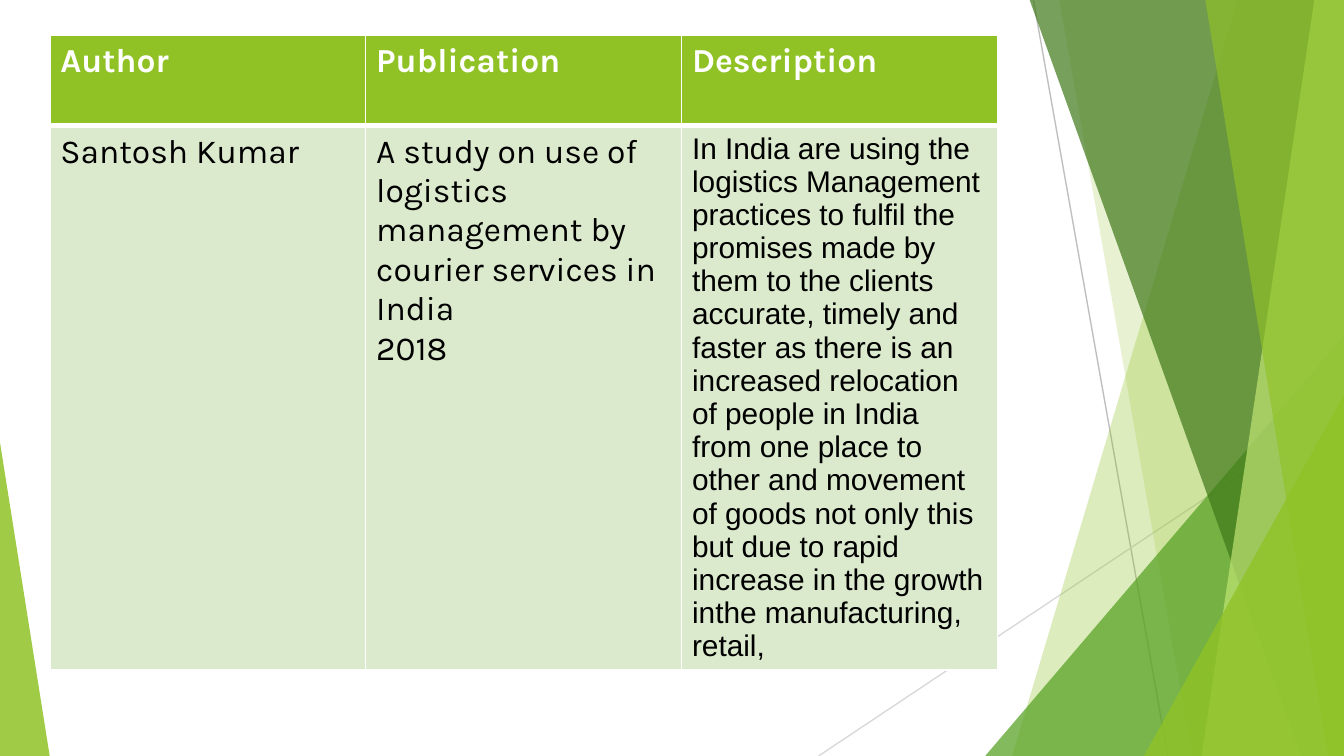
from lxml import etree
from pptx import Presentation
from pptx import util as u
from pptx.dml.color import RGBColor
from pptx.enum import shapes
from pptx.oxml.ns import qn

WHITE = RGBColor(0xFF, 0xFF, 0xFF)
BLACK = RGBColor(0, 0, 0)
LIME = RGBColor(0x90, 0xC2, 0x26)
GREEN = RGBColor(0x54, 0xA0, 0x21)
FOREST = RGBColor(0x3F, 0x78, 0x19)
PALE_LIME = RGBColor(0xC0, 0xE4, 0x74)
MIST = RGBColor(0xDB, 0xE9, 0xCD)
GREY = RGBColor(0xBF, 0xBF, 0xBF)
LIGHT_GREY = RGBColor(0xD9, 0xD9, 0xD9)

WIDTH, HEIGHT = 25.4, 14.29

HEADINGS = ["Author", "Publication", "Description"]
STUDY = [
    (["Santosh Kumar"], "Karla", 18),
    (["A study on use of logistics management by courier services in India",
      "2018"], "Karla", 18),
    (["In India are using the logistics Management practices to fulfil the "
      "promises made by them to\u00a0the clients accurate, timely and faster "
      "as\u00a0there is an increased relocation of\u00a0people in India from one "
      "place to other and movement of goods not only this but due to rapid "
      "increase in the growth inthe manufacturing, retail,"], "Arial", 16),
]
COLUMN_WIDTH = 5.97
ROW_HEIGHTS = [1.71, 10.28]

RAYS = [((19.53, 0), (22.07, HEIGHT), GREY),
        ((WIDTH, 7.67), (15.47, HEIGHT), LIGHT_GREY)]
FACETS = [
    ("band", 23.39, 19.13, LIME, 30),
    ("band", 20.02, 22.53, LIME, 20),
    ("peak", (18.62, 6.35, 6.78), 1, GREEN, 72),
    ("band", 19.46, 24.59, FOREST, 70),
    ("band", 24.84, 22.71, PALE_LIME, 70),
    ("band", 22.78, 25.1, LIME, 65),
    ("peak", (21.62, 7.47, 3.78), 1, LIME, 80),
    ("peak", (0, 8.36, 0.94), 0, LIME, 85),
]

prs = Presentation()
prs.slide_width, prs.slide_height = u.Cm(WIDTH), u.Cm(HEIGHT)
slide = prs.slides.add_slide(prs.slide_layouts[6])


def add_ray(start, end, color):
    ray = slide.shapes.add_connector(
        shapes.MSO_CONNECTOR.STRAIGHT, *(u.Cm(v) for v in start + end))
    ray.line.color.rgb = color
    ray.line.width = u.Pt(0.75)
    etree.SubElement(ray._element.spPr, qn("a:effectLst"))


def add_band(top_x, bottom_x):
    outline = slide.shapes.build_freeform(u.Cm(top_x), 0)
    corners = [(WIDTH, 0), (WIDTH, HEIGHT), (bottom_x, HEIGHT)]
    outline.add_line_segments([(u.Cm(x), u.Cm(y)) for x, y in corners], close=True)
    return outline.convert_to_shape()


def add_peak(place, apex):
    left, top, width = place
    peak = slide.shapes.add_shape(
        shapes.MSO_SHAPE.ISOSCELES_TRIANGLE,
        u.Cm(left), u.Cm(top), u.Cm(width), u.Cm(HEIGHT - top))
    peak.adjustments[0] = apex
    return peak


def paint(facet, color, opacity):
    facet.shadow.inherit = False
    facet.line.fill.background()
    facet.fill.solid()
    facet.fill.fore_color.rgb = color
    srgb = facet._element.spPr.find(qn("a:solidFill"))[0]
    etree.SubElement(srgb, qn("a:alpha"), val=str(opacity * 1000))


def set_borders(cell, widths):
    props = cell._tc.get_or_add_tcPr()
    for i, (side, width) in enumerate(widths.items()):
        border = etree.Element(qn("a:ln" + side), w=str(u.Pt(width)))
        fill = etree.SubElement(border, qn("a:solidFill"))
        etree.SubElement(fill, qn("a:srgbClr"), val=str(WHITE))
        props.insert(i, border)


def fill_cell(cell, lines, font, size, is_heading):
    cell.margin_left = cell.margin_right = u.Cm(0.2)
    cell.margin_top = cell.margin_bottom = u.Cm(0.13)
    cell.fill.solid()
    cell.fill.fore_color.rgb = LIME if is_heading else MIST
    set_borders(cell, {"L": 1, "R": 1, "T": 1 if is_heading else 3,
                       "B": 3 if is_heading else 1})
    frame = cell.text_frame
    for i, line in enumerate(lines):
        paragraph = frame.add_paragraph() if i else frame.paragraphs[0]
        run = paragraph.add_run()
        run.text = line
        run.font.name, run.font.size = font, u.Pt(size)
        run.font.bold = is_heading
        run.font.color.rgb = WHITE if is_heading else BLACK


for ray in RAYS:
    add_ray(*ray)
makers = {"band": add_band, "peak": add_peak}
for kind, first, second, color, opacity in FACETS:
    paint(makers[kind](first, second), color, opacity)

rows = [[([heading], "Karla", 18) for heading in HEADINGS], STUDY]
literature = slide.shapes.add_table(
    len(rows), len(HEADINGS), u.Cm(0.94), u.Cm(0.66),
    u.Cm(COLUMN_WIDTH * len(HEADINGS)), u.Cm(sum(ROW_HEIGHTS))).table
for column in literature.columns:
    column.width = u.Cm(COLUMN_WIDTH)
for r, (row, height) in enumerate(zip(rows, ROW_HEIGHTS)):
    literature.rows[r].height = u.Cm(height)
    for c, (lines, font, size) in enumerate(row):
        fill_cell(literature.cell(r, c), lines, font, size, r == 0)

prs.save("out.pptx")
